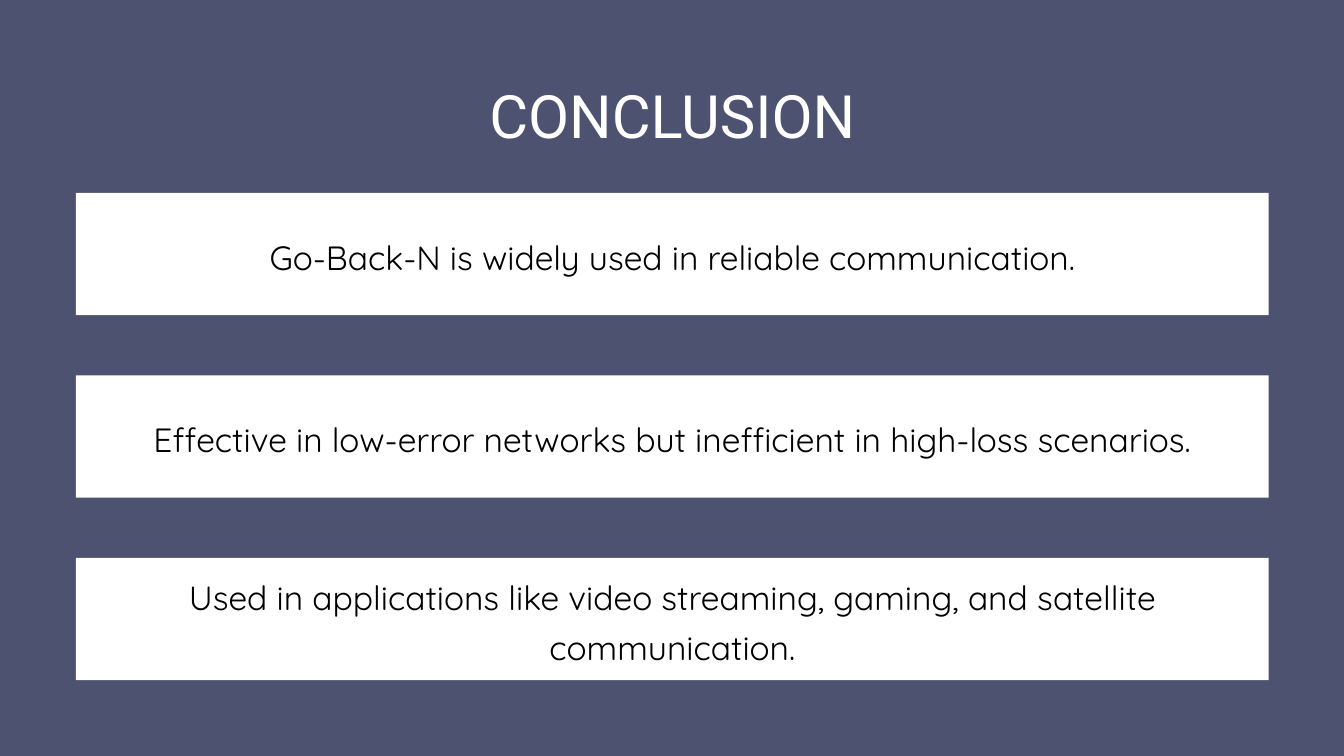
from pptx import Presentation
from pptx.dml.color import RGBColor
from pptx.enum.shapes import MSO_SHAPE
from pptx.enum.text import PP_ALIGN
from pptx.util import Inches, Pt

RECT = MSO_SHAPE.RECTANGLE
CENTER = PP_ALIGN.CENTER
NAVY = "4C5270"
WHITE = "FFFFFF"
BLACK = "000000"
POINTS = [
    ("Go-Back-N is widely used in reliable communication.", 0.5),
    ("Effective in low-error networks but inefficient in high-loss scenarios.", 0.5),
    ("Used in applications like video streaming, gaming, and satellite communication.", 0.13),
]


def paint(color, value):
    color.rgb = RGBColor.from_string(value)


def add_text(slide, box, text, face, size, lead, color):
    frame = slide.shapes.add_textbox(*map(Inches, box)).text_frame
    frame.word_wrap = True
    frame.margin_left = frame.margin_right = 0
    frame.margin_top = frame.margin_bottom = 0
    para = frame.paragraphs[0]
    para.text = text
    para.alignment = CENTER
    para.line_spacing = Pt(lead)
    para.font.name = face
    para.font.size = Pt(size)
    paint(para.font.color, color)


def add_title(slide, box):
    add_text(slide, box, "CONCLUSION", "Roboto", 64, 89.6, WHITE)


def add_card(slide, box, text, drop):
    left, top, width, height = box
    card = slide.shapes.add_shape(RECT, *map(Inches, box))
    card.shadow.inherit = False
    card.fill.solid()
    paint(card.fill.fore_color, WHITE)
    card.line.fill.background()
    inset = 0.41
    area = (left + inset, top + drop, width - 2 * inset, 1.45)
    add_text(slide, area, text, "Quicksand", 36, 54, BLACK)


def add_cards(slide, box):
    left, top, width, height = box
    tall = 1.82
    step = (height - tall) / (len(POINTS) - 1)
    for row, (text, drop) in enumerate(POINTS):
        add_card(slide, (left, top + row * step, width, tall), text, drop)


def main():
    deck = Presentation()
    deck.slide_width = Inches(20)
    deck.slide_height = Inches(11.25)
    slide = deck.slides.add_slide(deck.slide_layouts[6])
    slide.background.fill.solid()
    paint(slide.background.fill.fore_color, NAVY)
    add_title(slide, (1.54, 1, 16.93, 1.19))
    add_cards(slide, (1.13, 2.87, 17.75, 7.25))
    deck.save("out.pptx")


if __name__ == "__main__":
    main()
